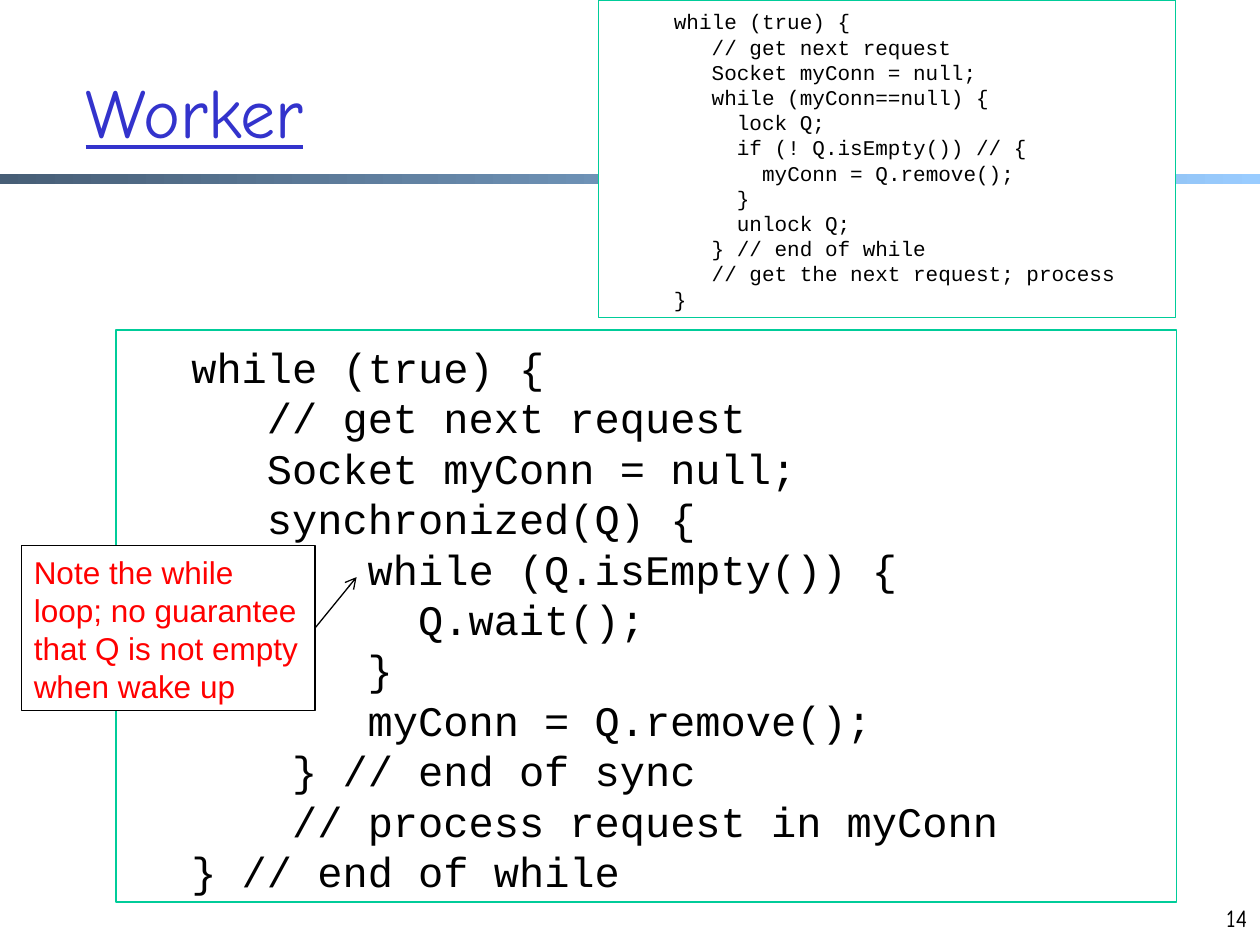
import dataclasses

import pptx
import pptx.dml.color
import pptx.enum.shapes
import pptx.enum.text
import pptx.oxml
import pptx.oxml.ns
import pptx.util

Inches = pptx.util.Inches
Pt = pptx.util.Pt
ANCHOR = pptx.enum.text.MSO_ANCHOR
ALIGN = pptx.enum.text.PP_ALIGN
RECTANGLE = pptx.enum.shapes.MSO_SHAPE.RECTANGLE

LINE_PITCH = 1.2  # line distance as a multiple of the text size
CHAR_WIDTH = 0.6  # Courier New advance as a multiple of the text size
CODE_MARGIN = 0.5

LOCKING_CODE = """\
while (true) {
   // get next request
   Socket myConn = null;
   while (myConn==null) {
     lock Q;
     if (! Q.isEmpty()) // {
       myConn = Q.remove();
     }
     unlock Q;
   } // end of while
   // get the next request; process
}"""

WAITING_CODE = """\
while (true) {
   // get next request
   Socket myConn = null;
   synchronized(Q) {
       while (Q.isEmpty()) {
         Q.wait();
       }
       myConn = Q.remove();
    } // end of sync
    // process request in myConn
} // end of while"""

NOTE = "Note the while\nloop; no guarantee\nthat Q is not empty\nwhen wake up"


@dataclasses.dataclass
class Panel:
    left: float
    top: float
    width: float
    height: float
    border: str
    size: int
    fill: str | None = None


def color(value: str) -> pptx.dml.color.RGBColor:
    return pptx.dml.color.RGBColor.from_string(value)


def set_font(para, name: str, size: float, value: str) -> None:
    para.font.name = name
    para.font.size = Pt(size)
    para.font.color.rgb = color(value)


def add_panel(page, panel: Panel):
    box = page.shapes.add_shape(
        RECTANGLE, Inches(panel.left), Inches(panel.top),
        Inches(panel.width), Inches(panel.height))
    box.shadow.inherit = False
    if panel.fill:
        box.fill.solid()
        box.fill.fore_color.rgb = color(panel.fill)
    else:
        box.fill.background()
    box.line.color.rgb = color(panel.border)
    box.line.width = Pt(0.75)
    box.text_frame.word_wrap = True
    box.text_frame.vertical_anchor = ANCHOR.BOTTOM
    return box


def write_line(para, text: str, font: str, size: int, value: str) -> None:
    para.text = text
    para.alignment = ALIGN.LEFT
    para.line_spacing = Pt(size * LINE_PITCH)
    set_font(para, font, size, value)


def add_code(page, panel: Panel, code: str) -> None:
    """Write one paragraph a line, indented by its leading columns."""
    frame = add_panel(page, panel).text_frame
    for number, line in enumerate(code.splitlines()):
        para = frame.add_paragraph() if number else frame.paragraphs[0]
        text = line.lstrip()
        columns = len(line) - len(text)
        write_line(para, text, "Courier New", panel.size, "000000")
        margin = Inches(CODE_MARGIN) + Pt(columns * CHAR_WIDTH * panel.size)
        properties = para._p.get_or_add_pPr()
        properties.set("marL", str(int(margin)))
        properties.set("indent", "0")


def add_note(page, panel: Panel, text: str):
    box = add_panel(page, panel)
    write_line(box.text_frame.paragraphs[0], text, "Arial", panel.size, "FF0000")
    return box


def add_arrow(page, source, tip_x: float, tip_y: float) -> None:
    """Point from the right side of the source box to the tip."""
    arrow = page.shapes.add_connector(
        pptx.enum.shapes.MSO_CONNECTOR.STRAIGHT,
        source.left + source.width, source.top + source.height // 2,
        Inches(tip_x), Inches(tip_y))
    arrow.begin_connect(source, 3)
    arrow.line.color.rgb = color("000000")
    arrow.line.width = Pt(0.75)
    head = pptx.oxml.parse_xml(
        f'<a:tailEnd {pptx.oxml.ns.nsdecls("a")} type="arrow"/>')
    arrow.line._get_or_add_ln().append(head)
    arrow._element.spPr.append(pptx.oxml.parse_xml(
        f'<a:effectLst {pptx.oxml.ns.nsdecls("a")}/>'))


def add_band(page) -> None:
    band = page.shapes.add_shape(
        RECTANGLE, 0, Inches(1.38), Inches(10), Inches(0.08))
    band.shadow.inherit = False
    band.line.fill.background()
    band.fill.gradient()
    band.fill.gradient_angle = 0
    for stop, value in zip(band.fill.gradient_stops, ("475E76", "99CCFF")):
        stop.color.rgb = color(value)


def add_title(page, text: str) -> None:
    title = page.shapes.title
    title.left, title.top = Inches(0.58), Inches(0.25)
    title.width, title.height = Inches(8.5), Inches(1.25)
    title.text_frame.vertical_anchor = ANCHOR.MIDDLE
    para = title.text_frame.paragraphs[0]
    para.text = text
    para.alignment = ALIGN.LEFT
    set_font(para, "Comic Neue", 40, "3333CC")
    para.font.underline = True


def add_page_number(page, text: str) -> None:
    box = page.shapes.add_textbox(
        Inches(9.5), Inches(7.12), Inches(0.5), Inches(0.5))
    box.text_frame.word_wrap = True
    para = box.text_frame.paragraphs[0]
    para.text = text
    para.alignment = ALIGN.RIGHT
    set_font(para, "Comic Neue", 14, "000000")


def main() -> None:
    deck = pptx.Presentation()
    deck.slide_width, deck.slide_height = Inches(10), Inches(7.5)
    page = deck.slides.add_slide(deck.slide_layouts.get_by_name("Title Only"))

    # Heading and page furniture
    add_band(page)
    add_title(page, "Worker")
    add_page_number(page, "14")

    # Code with waiting, and the earlier version with a lock
    add_code(page, Panel(0.92, 2.62, 8.42, 4.54, "00CC99", 24), WAITING_CODE)
    add_code(page, Panel(4.75, 0, 4.58, 2.52, "00CC99", 12, "FFFFFF"), LOCKING_CODE)

    # Note pointing at the inner loop
    note = add_note(page, Panel(0.17, 4.33, 2.33, 1.31, "000000", 18, "FFFFFF"), NOTE)
    add_arrow(page, note, 2.83, 4.58)

    deck.save("out.pptx")


if __name__ == "__main__":
    main()
